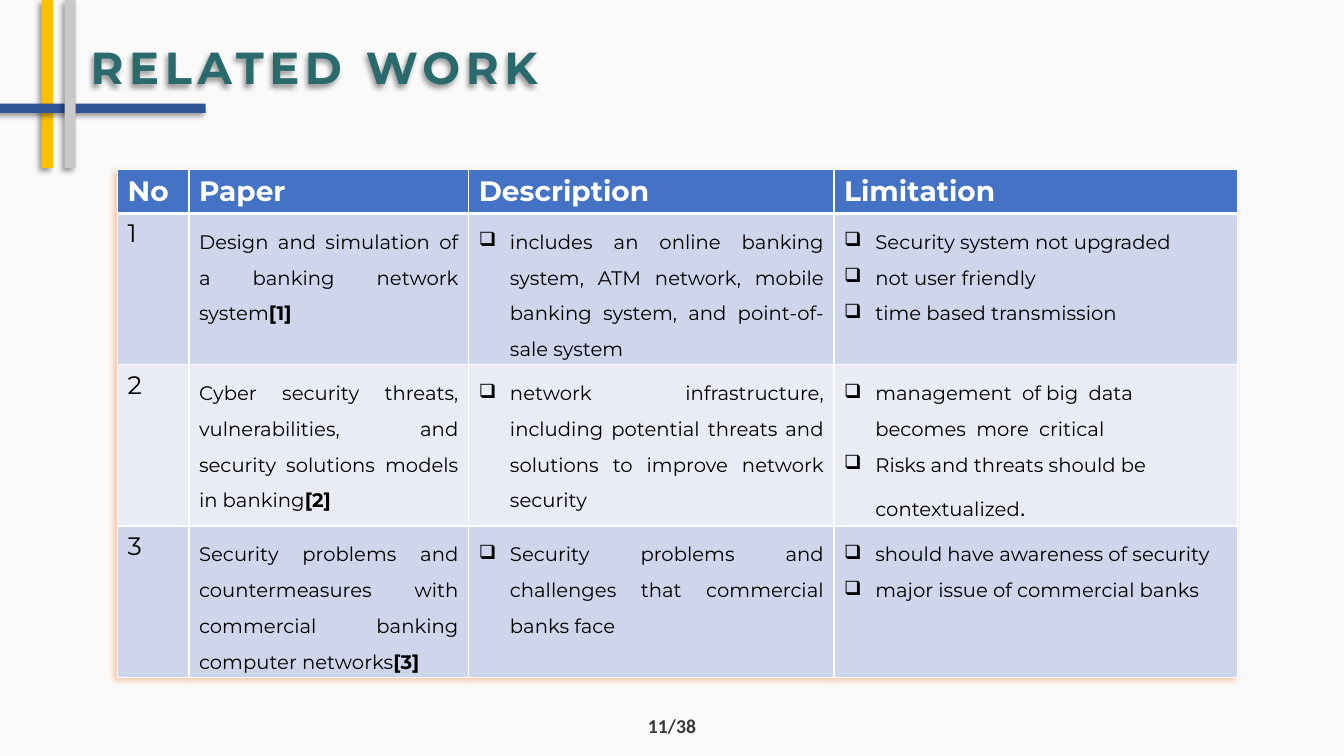
from dataclasses import dataclass

from lxml import etree
from pptx import Presentation
from pptx.dml.color import RGBColor
from pptx.enum.shapes import MSO_SHAPE
from pptx.enum.text import MSO_ANCHOR, PP_ALIGN
from pptx.oxml.ns import qn
from pptx.util import Inches, Pt

RECT = MSO_SHAPE.RECTANGLE
LEFT, MID, JUST = PP_ALIGN.LEFT, PP_ALIGN.CENTER, PP_ALIGN.JUSTIFY
BASE, CENTRE = MSO_ANCHOR.BOTTOM, MSO_ANCHOR.MIDDLE
COLS, ROWS = 160, 90
UNIT = Inches(7.5) / ROWS


@dataclass(frozen=True)
class Theme:
    back: str = "FAFAFA"
    gold: str = "FFC000"
    navy: str = "2F5597"
    grey: str = "C9C9C9"
    teal: str = "2B6A6C"
    blue: str = "4472C4"
    bands: tuple = ("CFD5EA", "E9EBF5")
    glow: str = "ED7D31"
    white: str = "FFFFFF"
    black: str = "000000"
    foot: str = "3B3838"
    font: str = "Montserrat"
    plain: str = "Calibri"
    title: int = 32
    head: int = 20
    mark: int = 18
    body: int = 14


T = Theme()
HEADS = ("No", "Paper", "Description", "Limitation")
WIDTHS = (8.5, 33.3, 43.5, 48)
HEIGHTS = (5.1, 18, 19.2, 18)
PAPERS = (
    ("Design and simulation of a banking network system",
     "includes an online banking system, ATM network, mobile banking system, "
     "and point-of-sale system",
     ("Security system not upgraded", "not user friendly",
      "time based transmission"), ""),
    ("Cyber security threats, vulnerabilities, and security solutions models "
     "in banking",
     "network infrastructure, including potential threats and solutions to "
     "improve network security",
     ("management  of big  data becomes  more  critical",
      "Risks and threats should be contextualized"), "."),
    ("Security problems and countermeasures with commercial banking computer "
     "networks",
     "Security problems and challenges that commercial banks face",
     ("should have awareness of security",
      "major issue of commercial banks"), ""),
)


def grid(*nums):
    """Turn grid units into slide lengths."""
    return [round(n * UNIT) for n in nums]


def node(root, tag, **attrs):
    """Add an XML child with attributes."""
    return etree.SubElement(root, qn(tag), {k: str(v) for k, v in attrs.items()})


def shade(root, color):
    """Add a soft shadow to the lower left."""
    fx = node(root, "a:effectLst")
    drop = node(fx, "a:outerShdw", blurRad=Pt(4), dist=Pt(3), dir=8100000,
                algn="tr", rotWithShape=0)
    tint = node(drop, "a:srgbClr", val=color)
    node(tint, "a:alpha", val=40000)
    return fx


def write(para, text, size, color=T.black, bold=False, font=T.font):
    """Add one styled run."""
    run = para.add_run()
    run.text = text
    run.font.size = Pt(size)
    run.font.name = font
    run.font.bold = bold
    run.font.color.rgb = RGBColor.from_string(color)
    return run


def bar(slide, box, color):
    """Draw a shadowed bar."""
    shape = slide.shapes.add_shape(RECT, *grid(*box))
    shape.fill.solid()
    shape.fill.fore_color.rgb = RGBColor.from_string(color)
    shape.line.fill.background()
    shade(shape._element.spPr, T.black)


def title(slide, text):
    """Place and style the title."""
    shape = slide.shapes.title
    shape.left, shape.top, shape.width, shape.height = grid(9.6, 4.2, 65.8, 7.6)
    frame = shape.text_frame
    frame.vertical_anchor = BASE
    para = frame.paragraphs[0]
    para.alignment = LEFT
    para.line_spacing = 0.9
    run = write(para, text, T.title, T.teal, True)
    run.font._element.set("spc", "400")
    shade(shape._element.spPr, T.black)


def footer(slide, text):
    """Write the page number."""
    frame = slide.shapes.add_textbox(*grid(75, 83.9, 10, 5)).text_frame
    frame.word_wrap = True
    frame.vertical_anchor = CENTRE
    para = frame.paragraphs[0]
    para.alignment = MID
    write(para, text, T.body, T.foot, True, T.plain)


def paint(cell, color, base):
    """Fill a cell and rule its edges."""
    cell.fill.solid()
    cell.fill.fore_color.rgb = RGBColor.from_string(color)
    props = cell._tc.get_or_add_tcPr()
    for i, side in enumerate(("L", "R", "T", "B")):
        line = node(props, f"a:ln{side}", w=Pt(base if side == "B" else 1))
        node(node(line, "a:solidFill"), "a:srgbClr", val=T.white)
        props.insert(i, line)


def prose(para, align=JUST):
    """Space and align a body paragraph."""
    para.line_spacing = 1.5
    para.alignment = align


def bullets(frame, items, align):
    """Write box-bulleted lines and return the last."""
    for i, item in enumerate(items):
        para = frame.add_paragraph() if i else frame.paragraphs[0]
        prose(para, align)
        props = para._p.get_or_add_pPr()
        props.set("marL", str(Inches(0.31)))
        props.set("indent", str(-Inches(0.31)))
        node(props, "a:buChar", char="❑")
        write(para, item, T.body)
    return para


def entry(cells, num, paper):
    """Fill one row with a paper."""
    name, about, limits, stop = paper
    frames = [cell.text_frame for cell in cells]
    write(frames[0].paragraphs[0], str(num), T.mark)
    para = frames[1].paragraphs[0]
    prose(para)
    write(para, name, T.body)
    write(para, f"[{num}]", T.body, bold=True)
    bullets(frames[2], [about], JUST)
    last = bullets(frames[3], limits, JUST if num == 1 else LEFT)
    if stop:
        write(last, stop, T.mark)


def papers(slide):
    """Build the table of papers."""
    box = grid(14, 20.2, sum(WIDTHS), sum(HEIGHTS))
    table = slide.shapes.add_table(len(HEIGHTS), len(WIDTHS), *box).table
    for col, size in zip(table.columns, grid(*WIDTHS)):
        col.width = size
    for row, size in zip(table.rows, grid(*HEIGHTS)):
        row.height = size
    props = table._tbl.tblPr
    props.insert(0, shade(props, T.glow))
    for i, row in enumerate(table.rows):
        for cell in row.cells:
            paint(cell, T.bands[(i - 1) % 2] if i else T.blue, 1 if i else 3)
    for cell, head in zip(table.rows[0].cells, HEADS):
        write(cell.text_frame.paragraphs[0], head, T.head, T.white, True)
    for num, paper in enumerate(PAPERS, 1):
        entry(table.rows[num].cells, num, paper)


def main():
    """Build and save the slide."""
    deck = Presentation()
    deck.slide_width, deck.slide_height = grid(COLS, ROWS)
    slide = deck.slides.add_slide(deck.slide_layouts[5])
    fill = slide.background.fill
    fill.solid()
    fill.fore_color.rgb = RGBColor.from_string(T.back)
    footer(slide, "11/38")
    bar(slide, (5, 0, 1.3, 20), T.gold)
    bar(slide, (0, 12.35, 24.5, 1.1), T.navy)
    bar(slide, (7.7, 0, 1.3, 20), T.grey)
    title(slide, "RELATED WORK")
    papers(slide)
    deck.save("out.pptx")


if __name__ == "__main__":
    main()
